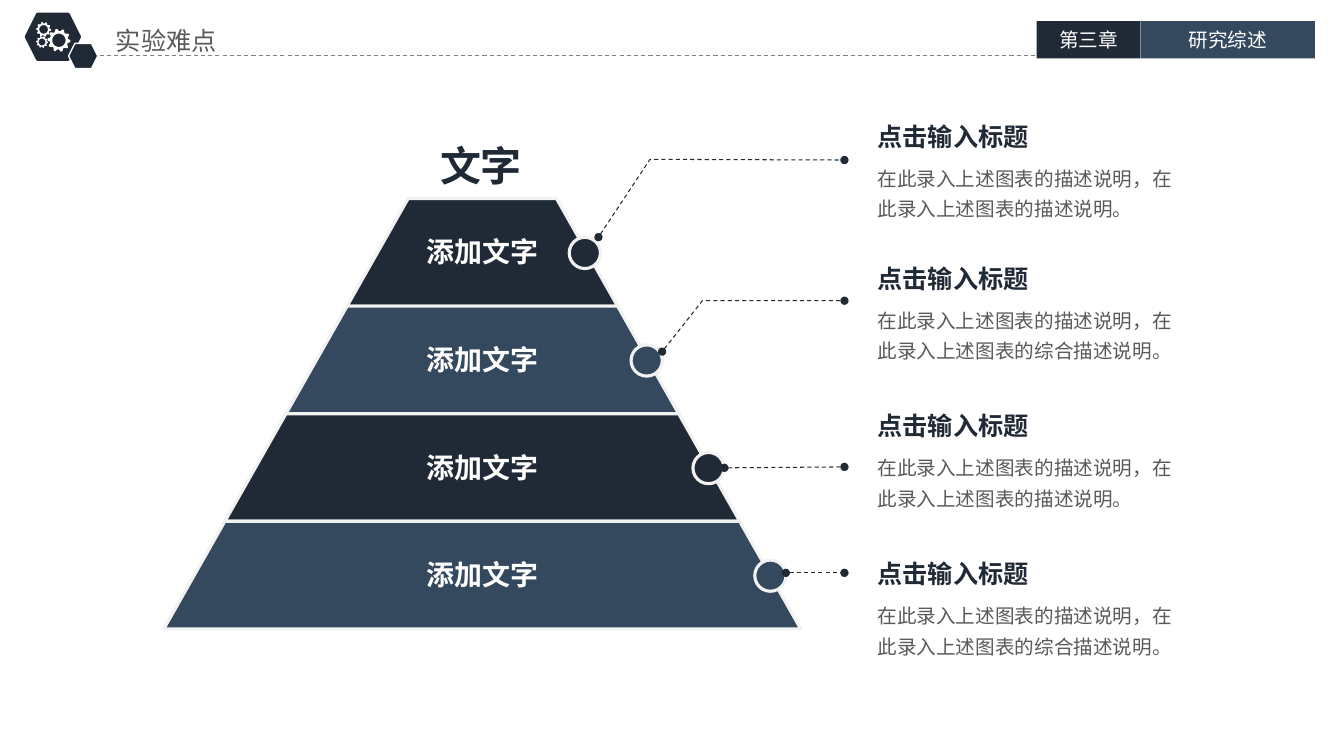
from math import cos, pi, sin

from lxml import etree
from pptx import Presentation
from pptx import util as u
from pptx.dml.color import RGBColor
from pptx.enum import dml, shapes, text
from pptx.oxml.ns import qn

NAVY = RGBColor(0x20, 0x2A, 0x36)
BLUE = RGBColor(0x34, 0x49, 0x5E)
LEADER = RGBColor(0x22, 0x2A, 0x35)
GRAY = RGBColor(0x59, 0x59, 0x59)
RULE = RGBColor(0x80, 0x80, 0x80)
PALE = RGBColor(0xF2, 0xF2, 0xF2)
WHITE = RGBColor(0xFF, 0xFF, 0xFF)
SHAPE = shapes.MSO_SHAPE
CENTER = text.PP_ALIGN.CENTER
LEFT = text.PP_ALIGN.LEFT


class Deck:
    """Draw styled elements on the current slide, with lengths in points."""

    font = "Noto Sans CJK SC"

    def __init__(self, width, height):
        self.prs = Presentation()
        self.prs.slide_width, self.prs.slide_height = u.Pt(width), u.Pt(height)
        self.s = self.prs.slides.add_slide(self.prs.slide_layouts[6])

    def paint(self, sp, fill=None, line=None, width=1):
        sp.shadow.inherit = False
        if fill is None:
            sp.fill.background()
        else:
            sp.fill.solid()
            sp.fill.fore_color.rgb = fill
        if line is None:
            sp.line.fill.background()
        else:
            sp.line.color.rgb = line
            sp.line.width = u.Pt(width)
        return sp

    def shape(self, kind, x, y, w, h, fill, line=None, width=1):
        sp = self.s.shapes.add_shape(kind, *map(u.Pt, (x, y, w, h)))
        return self.paint(sp, fill, line, width)

    def outline(self, contours, closed=True, **style):
        pts = [[(u.Pt(x), u.Pt(y)) for x, y in c] for c in contours]
        builder = self.s.shapes.build_freeform(*pts[0][0], scale=1.0)
        builder.add_line_segments(pts[0][1:], close=closed)
        for contour in pts[1:]:
            builder.move_to(*contour[0])
            builder.add_line_segments(contour[1:], close=closed)
        return self.paint(builder.convert_to_shape(), **style)

    def line(self, start, end, color):
        c = self.s.shapes.add_connector(
            shapes.MSO_CONNECTOR.STRAIGHT, *map(u.Pt, (*start, *end)))
        c.line.color.rgb = color
        c.line.width = u.Pt(0.75)
        c.line.dash_style = dml.MSO_LINE.DASH
        etree.SubElement(c._element.spPr, qn("a:effectLst"))
        return c

    def leader(self, points):
        if len(points) == 2:
            sp = self.line(*points, LEADER)
        else:
            sp = self.outline([points], closed=False, line=LEADER, width=0.75)
            sp.line.dash_style = dml.MSO_LINE.DASH
        ln = sp._element.spPr.find(qn("a:ln"))
        for end in ("a:headEnd", "a:tailEnd"):
            etree.SubElement(ln, qn(end), type="oval")

    def gear(self, cx, cy, radius, teeth=10):
        steps = teeth * 4
        turns = [2 * pi * i / steps for i in range(steps)]
        radii = [radius, radius, radius * 0.8, radius * 0.8] * teeth
        bore = radius * 0.58
        rim = [(cx + r * cos(a), cy + r * sin(a)) for r, a in zip(radii, turns)]
        hole = [(cx + bore * cos(a), cy - bore * sin(a)) for a in turns]
        self.outline([rim, hole], fill=WHITE)

    def set_text(self, sp, words, size, color, bold=False, align=LEFT,
                 spacing=None, font=font):
        p = sp.text_frame.paragraphs[0]
        p.text, p.alignment = words, align
        if spacing:
            p.line_spacing = spacing
        p.font.size, p.font.bold, p.font.name = u.Pt(size), bold, font
        p.font.color.rgb = color
        etree.SubElement(p.font._element, qn("a:ea"), typeface=self.font)

    def label(self, x, y, w, h, words, size, color, inset=(7.2, 3.6),
              wrap=True, **style):
        sp = self.s.shapes.add_textbox(*map(u.Pt, (x, y, w, h)))
        tf = sp.text_frame
        tf.word_wrap = wrap
        tf.auto_size = text.MSO_AUTO_SIZE.SHAPE_TO_FIT_TEXT
        tf.margin_left = tf.margin_right = u.Pt(inset[0])
        tf.margin_top = tf.margin_bottom = u.Pt(inset[1])
        self.set_text(sp, words, size, color, **style)

    def tab(self, x, w, fill, words):
        sp = self.shape(SHAPE.RECTANGLE, x, 15.1, w, 26.6, fill)
        sp.text_frame.vertical_anchor = text.MSO_ANCHOR.MIDDLE
        sp.text_frame.margin_top = sp.text_frame.margin_bottom = 0
        self.set_text(sp, words, 14, WHITE, align=CENTER)


def draw_header(deck):
    deck.label(77.8, 15.1, 147.6, 27.4, "实验难点", 18, GRAY, inset=(5, 2.9))
    deck.shape(SHAPE.HEXAGON, 18.7, 10.1, 38.2, 32.4, NAVY, NAVY, 2)
    deck.line((66.2, 39.6), (740.9, 39.6), RULE)
    deck.tab(740.9, 74.2, NAVY, "第三章")
    deck.tab(815.1, 124.6, BLUE, "研究综述")
    deck.shape(SHAPE.HEXAGON, 49, 31, 20.9, 18, NAVY, WHITE, 1)
    for cx, cy, radius in [(42.1, 28.8, 8.2), (31.2, 21, 5.3), (30.1, 30, 4.2)]:
        deck.gear(cx, cy, radius)


def draw_pyramid(deck):
    cx, top, row, half, grow = 344.7, 141.8, 76.85, 53, 43.65
    fills = [NAVY, BLUE, NAVY, BLUE]
    for i, fill in enumerate(fills):
        y, near, far = top + i * row, half + i * grow, half + (i + 1) * grow
        deck.outline([[(cx - near, y), (cx - far, y + row),
                       (cx + far, y + row), (cx + near, y)]],
                     fill=fill, line=PALE, width=2.25)
        deck.label(cx - 73, y + 23.8, 146, 28.8, "添加文字", 20, WHITE,
                   inset=(5, 2.2), bold=True, align=CENTER)
    for i, fill in enumerate(fills):
        deck.shape(SHAPE.OVAL, 406.8 + 44.2 * i, 169.5 + row * i, 22.3, 22.3,
                   fill, PALE, 2.25)
    deck.label(307.4, 96.5, 74.2, 42.5, "文字", 29.3, NAVY, wrap=False,
               bold=True, font="Arial")


def draw_notes(deck):
    short = "在此录入上述图表的描述说明，在此录入上述图表的描述说明。"
    long = "在此录入上述图表的描述说明，在此录入上述图表的综合描述说明。"
    end = 603.5
    notes = [
        (82.8, short, [(427.7, 169.4), (464.6, 113.8), (end, 114.3)]),
        (184.3, long, [(473.2, 251.2), (502, 214.8), (end, 214.8)]),
        (289.8, short, [(517.7, 334.2), (end, 333.5)]),
        (395.3, long, [(561.6, 409.2), (end, 409.2)]),
    ]
    for y, body, points in notes:
        deck.leader(points)
        deck.label(620, y, 123.8, 28.8, "点击输入标题", 18, NAVY,
                   wrap=False, bold=True)
        deck.label(620, y + 27.5, 234.7, 49, body, 14, GRAY, spacing=1.3)


def main():
    deck = Deck(960.48, 540)
    draw_header(deck)
    draw_pyramid(deck)
    draw_notes(deck)
    deck.prs.save("out.pptx")


if __name__ == "__main__":
    main()
